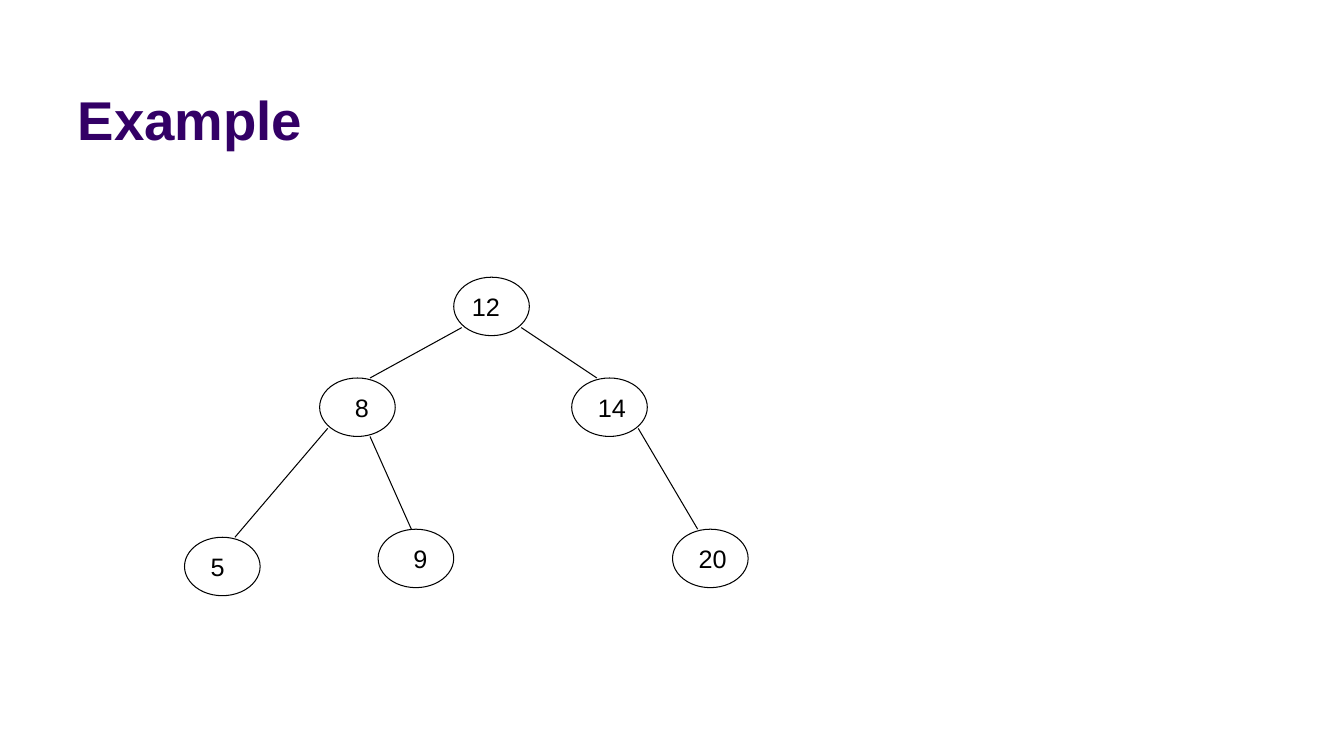
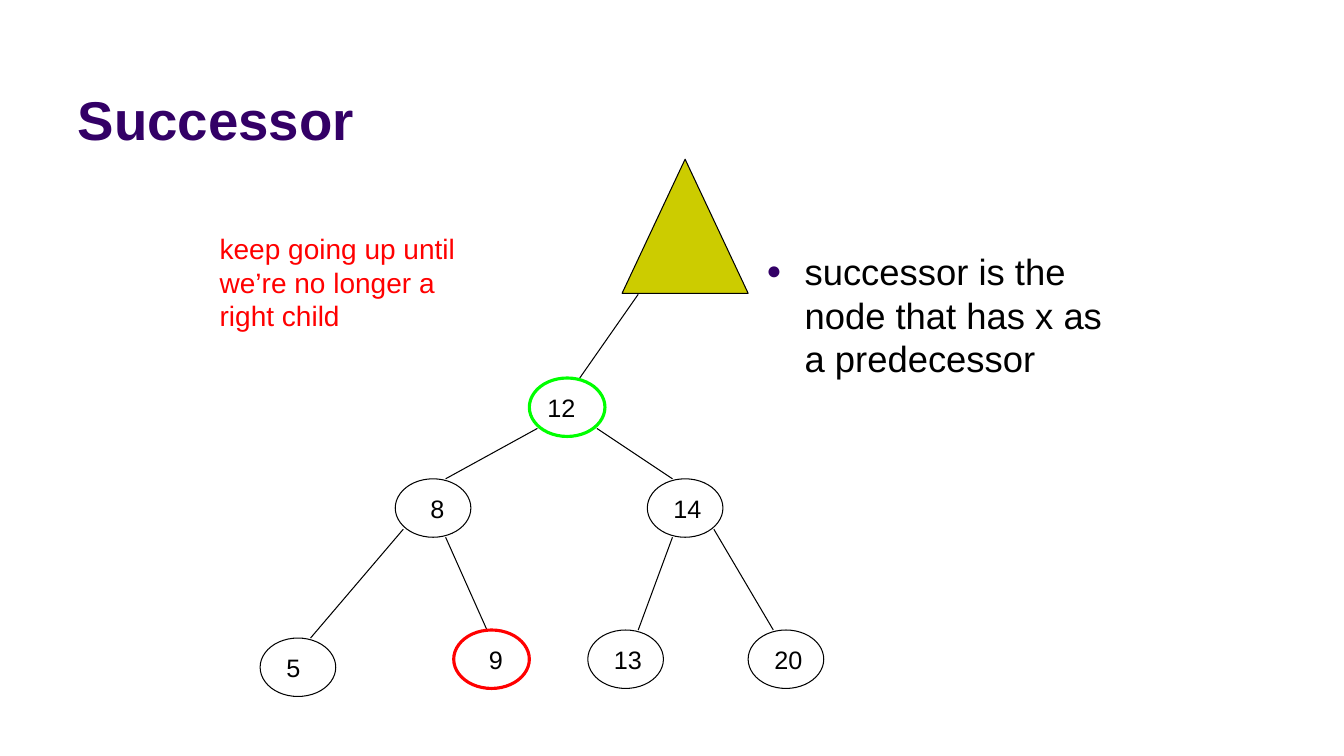
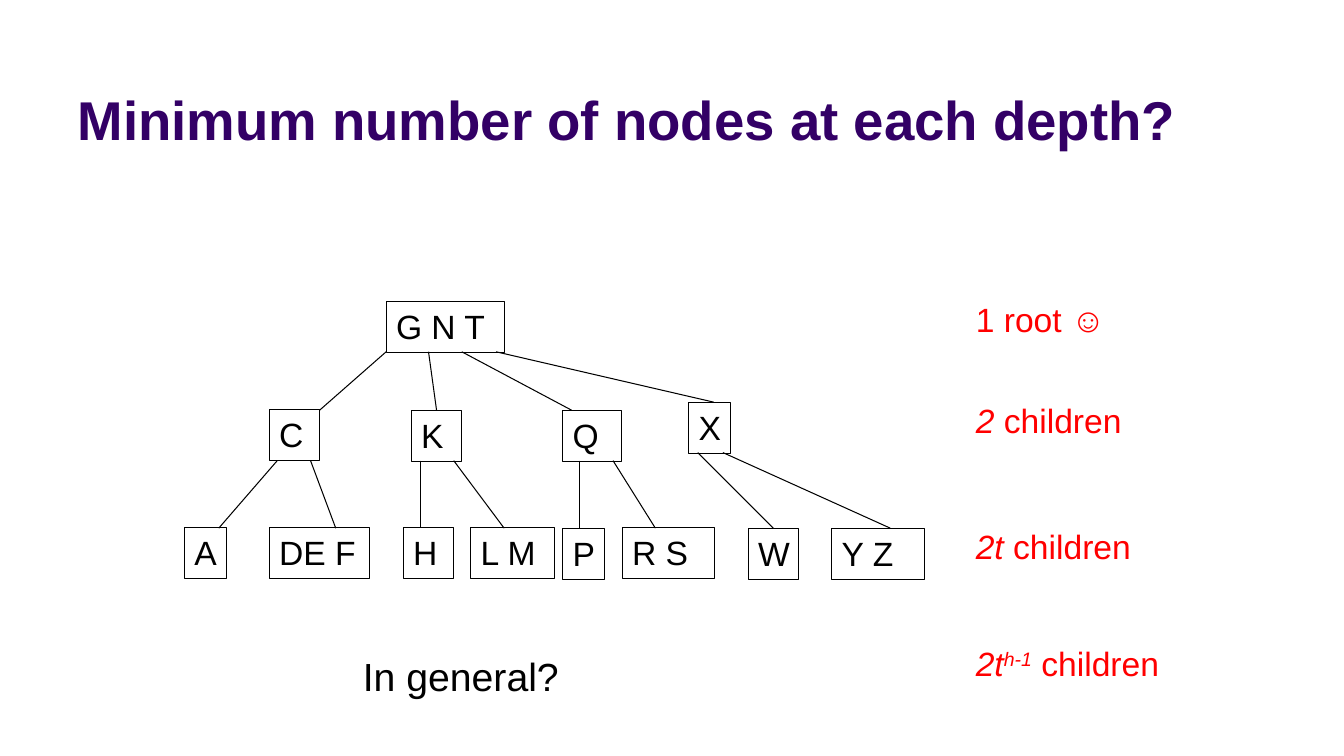
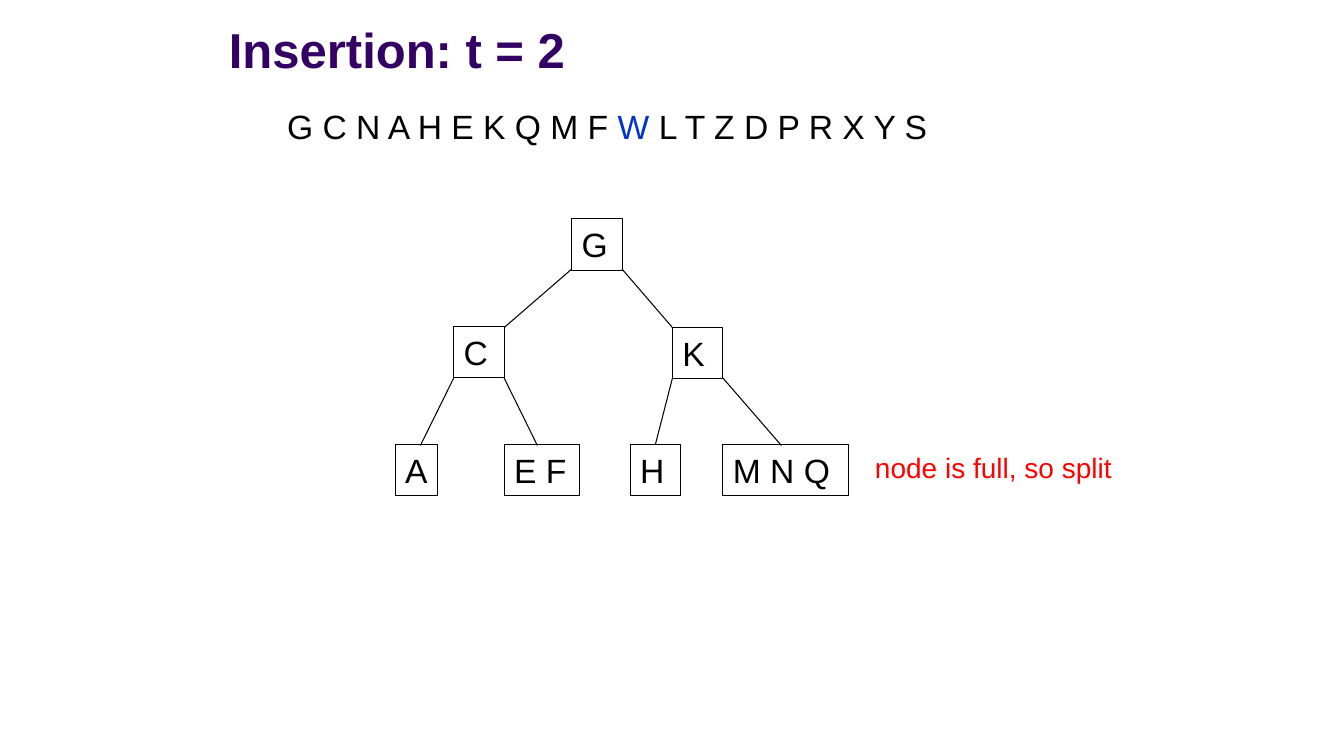
"""Build four slides on binary search trees and B-trees."""
from lxml import etree
from pptx import Presentation
from pptx import util as u
from pptx.dml.color import RGBColor
from pptx.enum import shapes, text
from pptx.oxml import ns

hue = RGBColor.from_string
INK, RED, GREEN, BLUE = "000000", "FF0000", "00FF00", "0033CC"
PURPLE, OLIVE = "330066", "CCCC00"
FONT = "Arial"
HIGH = 0.51


def write(shape, parts, size, ink=INK, anchor=text.MSO_ANCHOR.TOP):
    """Fill a shape with one left-aligned paragraph of runs."""
    frame = shape.text_frame
    frame.word_wrap = True
    frame.auto_size = text.MSO_AUTO_SIZE.NONE
    frame.vertical_anchor = anchor
    para = frame.paragraphs[0]
    para.alignment = text.PP_ALIGN.LEFT
    para.space_before = u.Pt(0)
    for part in parts:
        run = para.add_run()
        run.text = part
        run.font.size = u.Pt(size)
        run.font.name = FONT
        run.font.color.rgb = hue(ink)
    return para


def link(slide, lines, boxes=()):
    """Draw straight lines and join ends that meet the top middle of a box."""
    for x1, y1, x2, y2 in lines:
        line = slide.shapes.add_connector(
            shapes.MSO_CONNECTOR.STRAIGHT, *map(u.Inches, (x1, y1, x2, y2)))
        line.line.color.rgb = hue(INK)
        line.line.width = u.Pt(0.75)
        etree.SubElement(line._element.spPr, ns.qn("a:effectLst"))
        for box in boxes:
            gap = abs(box.left + box.width // 2 - u.Inches(x2))
            rise = abs(box.top - u.Inches(y2))
            if max(gap, rise) < u.Inches(0.02):
                line.end_connect(box, 0)


deck = Presentation()
deck.slide_width, deck.slide_height = u.Inches(13.33), u.Inches(7.5)

heads = [
    ("Example", 5, (0.67, 0.13, 11, 1.42), 39),
    ("Successor", 1, (0.67, 0.13, 11, 1.42), 39),
    ("Minimum number of nodes at each depth?", 5, (0.67, 0.13, 12.11, 1.42), 39),
    ("Insertion: t = 2", 5, (2.17, 0.13, 8.25, 0.7), 35),
]
for name, kind, area, size in heads:
    slide = deck.slides.add_slide(deck.slide_layouts[kind])
    title = slide.shapes.title
    title.left, title.top, title.width, title.height = map(u.Inches, area)
    para = write(title, [name], size, PURPLE, text.MSO_ANCHOR.BOTTOM)
    para.runs[0].font.bold = True
first, second, third, fourth = deck.slides

nodes = [
    ("12", 4.5, 2.75, 0.07), ("8", 3.17, 3.75, 0.24), ("14", 5.67, 3.75, 0.15),
    ("5", 1.83, 5.33, 0.15), ("9", 3.75, 5.25, 0.24), ("20", 6.67, 5.25, 0.15),
]
edges = [
    (4.58, 3.25, 3.67, 3.75), (5.17, 3.25, 5.92, 3.75),
    (3.25, 4.25, 2.33, 5.33), (3.67, 4.33, 4.08, 5.25),
    (6.33, 4.25, 6.92, 5.25),
]
more = [("13", 5.08, 5.25, 0.15)]
extra = [(5.92, 4.33, 5.58, 5.25), (5.58, 1.92, 5, 2.75)]
marks = {"12": GREEN, "9": RED}
trees = [
    (first, 0, 0, nodes, edges, {}),
    (second, 0.75, 1, nodes + more, edges + extra, marks),
]
for slide, dx, dy, knots, lines, rings in trees:
    link(slide, [(a + dx, b + dy, c + dx, d + dy) for a, b, c, d in lines])
    for label, x, y, inset in knots:
        node = slide.shapes.add_shape(
            shapes.MSO_SHAPE.OVAL, u.Inches(x + dx), u.Inches(y + dy),
            u.Inches(0.75), u.Inches(0.58))
        node.shadow.inherit = False
        node.fill.background()
        node.line.color.rgb = hue(rings.get(label, INK))
        node.line.width = u.Pt(2.25 if label in rings else 0.75)
        frame = node.text_frame
        frame.margin_left = u.Inches(inset)
        frame.margin_top = frame.margin_right = frame.margin_bottom = 0
        write(node, [label], 18, anchor=text.MSO_ANCHOR.MIDDLE)

peak = second.shapes.add_shape(
    shapes.MSO_SHAPE.ISOSCELES_TRIANGLE, *map(u.Inches, (6.17, 1.58, 1.25, 1.33)))
peak.shadow.inherit = False
peak.fill.solid()
peak.fill.fore_color.rgb = hue(OLIVE)
peak.line.color.rgb = hue(INK)
peak.line.width = u.Pt(0.75)

body = second.placeholders[1]
body.left, body.top, body.width, body.height = map(u.Inches, (7.5, 2.42, 3.67, 1.42))
para = write(body, ["successor is the node that has x as a predecessor"], 26)
props = para._p.get_or_add_pPr()
props.set("marL", str(u.Inches(0.38)))
props.set("indent", str(-u.Inches(0.38)))
tint = etree.SubElement(props, ns.qn("a:buClr"))
etree.SubElement(tint, ns.qn("a:srgbClr"), val=PURPLE)
etree.SubElement(props, ns.qn("a:buSzPct"), val="70000")
etree.SubElement(props, ns.qn("a:buFont"), typeface=FONT)
etree.SubElement(props, ns.qn("a:buChar"), char="●")

wide = [
    ("G N T", 3.83, 2.99, 1.17),
    ("C", 2.67, 4.06, 0.5), ("K", 4.08, 4.07, 0.5),
    ("Q", 5.58, 4.07, 0.58), ("X", 6.83, 3.99, 0.42),
    ("A", 1.83, 5.23, 0.42), ("DE F", 2.67, 5.23, 1),
    ("H", 4, 5.23, 0.5), ("L M", 4.67, 5.23, 0.83),
    ("P", 5.58, 5.24, 0.42), ("R S", 6.17, 5.23, 0.92),
    ("W", 7.42, 5.24, 0.5), ("Y Z", 8.25, 5.24, 0.92),
]
spans = [
    (3.83, 3.49, 3.17, 4.07), (4.25, 3.49, 4.33, 4.07),
    (4.58, 3.49, 5.67, 4.07), (4.92, 3.49, 7.08, 3.99),
    (2.75, 4.57, 2.17, 5.24), (3.08, 4.57, 3.33, 5.24),
    (4.17, 4.57, 4.17, 5.24), (4.5, 4.57, 5, 5.24),
    (5.75, 4.57, 5.75, 5.24), (6.08, 4.57, 6.5, 5.24),
    (6.92, 4.49, 7.67, 5.24), (7.17, 4.49, 8.83, 5.24),
]
small = [
    ("G", 5.67, 2.17, 0.5), ("C", 4.5, 3.24, 0.5), ("K", 6.67, 3.25, 0.5),
    ("A", 3.92, 4.41, 0.42), ("E F", 5, 4.41, 0.75),
    ("H", 6.25, 4.41, 0.5), ("M N Q", 7.17, 4.41, 1.25),
]
arms = [
    (5.67, 2.67, 5, 3.25), (6.17, 2.67, 6.67, 3.25),
    (4.5, 3.75, 4.17, 4.42), (5, 3.75, 5.33, 4.42),
    (6.67, 3.75, 6.5, 4.42), (7.17, 3.75, 7.75, 4.42),
]
for slide, cells, lines in [(third, wide, spans), (fourth, small, arms)]:
    boxes = []
    for label, x, y, width in cells:
        box = slide.shapes.add_shape(
            shapes.MSO_SHAPE.RECTANGLE, *map(u.Inches, (x, y, width, HIGH)))
        box.shadow.inherit = False
        box.fill.background()
        box.line.color.rgb = hue(INK)
        box.line.width = u.Pt(0.75)
        write(box, [label], 24)
        boxes.append(box)
    link(slide, lines, boxes)

notes = [
    (second, (2.08, 2.25, 2.92, 1.1),
     ["keep going up until we’re no longer a right child"], 20, RED),
    (third, (9.58, 2.92, 1.92, 0.5), ["1 root ☺"], 24, RED),
    (third, (9.58, 3.92, 1.92, 0.5), ["2", " children"], 24, RED),
    (third, (9.58, 5.17, 1.92, 0.5), ["2t", " children"], 24, RED),
    (third, (9.58, 6.33, 2.08, 0.5), ["2t", "h-1", " children"], 24, RED),
    (third, (3.5, 6.42, 4.08, 0.57), ["In general?"], 28, INK),
    (fourth, (2.75, 1, 6.71, 0.5),
     ["G C N A H E K Q M F ", "W", " L T Z D P R X Y S"], 24, INK),
    (fourth, (8.58, 4.42, 2.83, 0.43), ["node is full, so split"], 20, RED),
]
for slide, area, parts, size, ink in notes:
    note = slide.shapes.add_textbox(*map(u.Inches, area))
    para = write(note, parts, size, ink)
    for run in para.runs:
        if run.text in ("2", "2t", "h-1"):
            run.font.italic = True
        if run.text == "h-1":
            run._r.get_or_add_rPr().set("baseline", "30000")
        if run.text == "W":
            run.font.color.rgb = hue(BLUE)

deck.save("out.pptx")
